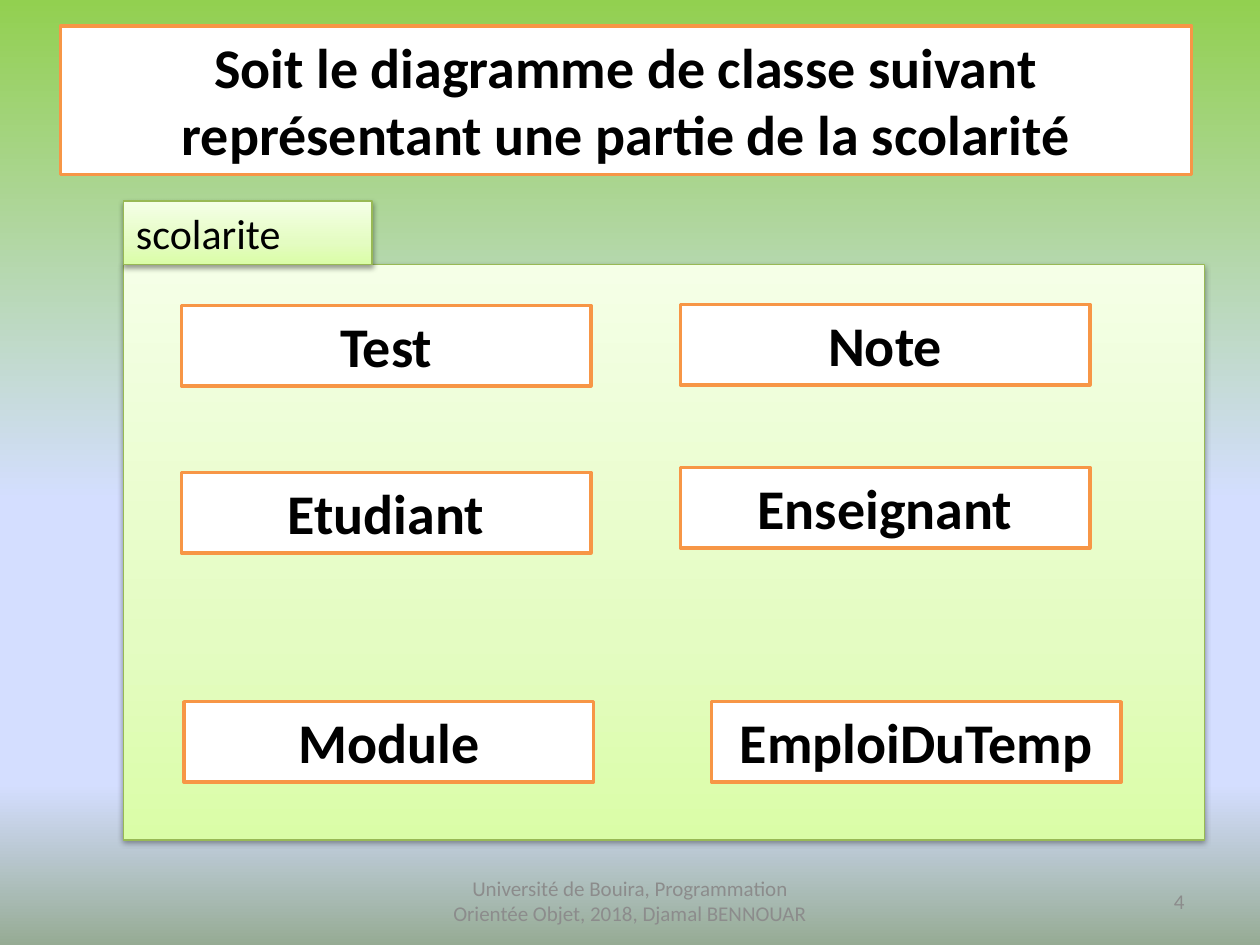
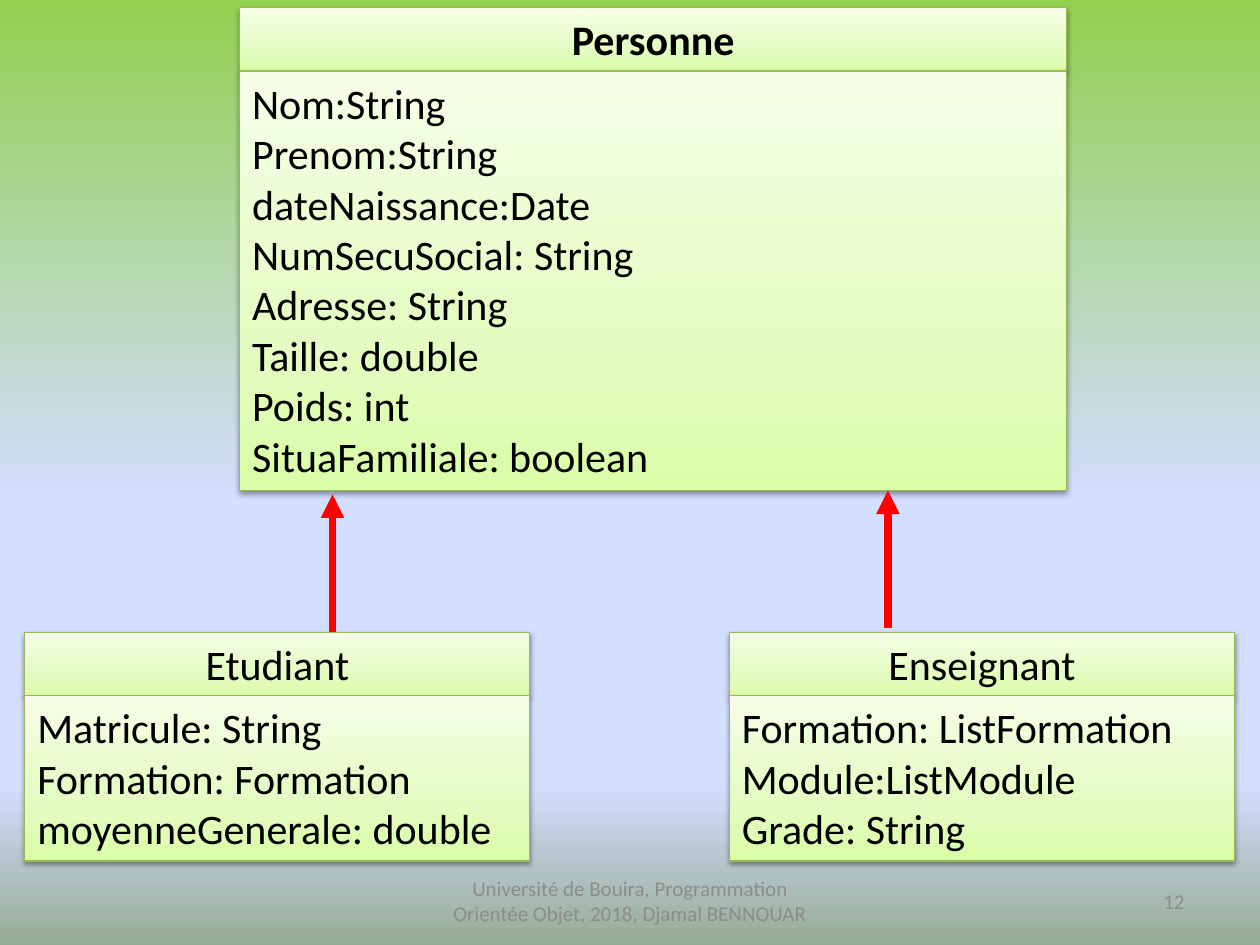
"""Build two class diagram slides about a school package."""
from pptx import Presentation
from pptx.dml.color import RGBColor as RGB
from pptx.enum.shapes import MSO_CONNECTOR as LINK, MSO_SHAPE as SHAPE
from pptx.enum.text import MSO_ANCHOR as ANCHOR, MSO_AUTO_SIZE as AUTO, PP_ALIGN as ALIGN
from pptx.oxml import parse_xml
from pptx.oxml.ns import nsdecls
from pptx.util import Pt

BLACK, WHITE = RGB(0, 0, 0), RGB(255, 255, 255)
GREY, RED = RGB(0x8C, 0x8C, 0x8C), RGB(255, 0, 0)
ORANGE, GREEN = RGB(0xF7, 0x96, 0x46), RGB(0x98, 0xB9, 0x55)
SKY = [(0, RGB(0x92, 0xD0, 0x50)), (53, RGB(0xD4, 0xDE, 0xFF)),
       (83, RGB(0xD4, 0xDE, 0xFF)), (100, RGB(0x96, 0xAB, 0x94))]
LIME = [(0, RGB(0xDA, 0xFD, 0xA7)), (35, RGB(0xE4, 0xFC, 0xC2)),
        (100, RGB(0xF5, 0xFF, 0xE7))]

LEFT, MID, RIGHT = ALIGN.LEFT, ALIGN.CENTER, ALIGN.RIGHT
PLAIN = {"size": Pt(24), "bold": False}
BOLD = {"size": Pt(24), "bold": True}
LARGE = {"size": Pt(32), "bold": True}
SMALL = {"size": Pt(12), "bold": False}
ROW, PAD = 29.08, 7.2
HEAD = ROW + PAD

FOOT = "Université de Bouira, Programmation Orientée Objet, 2018, Djamal BENNOUAR"
TITLE = "Soit le diagramme de classe suivant représentant une partie de la scolarité"
PACK = ("scolarite", 70.6, 114.8, 142, 617.8, 329)
CARDS = [("Etudiant", 103.7, 270), ("Enseignant", 388.8, 267.2),
         ("Module", 105.2, 401), ("EmploiDuTemp", 406.6, 401),
         ("Test", 103.7, 174.5), ("Note", 388.8, 174)]
CLASSES = [
    ("Personne", BOLD, 137, 4.3, 472.5,
     ["Nom:String", "Prenom:String", "dateNaissance:Date", "NumSecuSocial: String",
      "Adresse: String", "Taille: double", "Poids: int", "SituaFamiliale: boolean"]),
    ("Etudiant", PLAIN, 14.2, 361.3, 288.6,
     ["Matricule: String", "Formation: Formation", "moyenneGenerale: double"]),
    ("Enseignant", PLAIN, 416.8, 361.3, 288.6,
     ["Formation: ListFormation", "Module:ListModule", "Grade: String"]),
]
ARROWS = [(190, 361.3, 282.5), (507.4, 358.8, 280.3)]


def blend(fill, root, stops, angle):
    fill.gradient()
    old = root.xpath(".//a:gradFill")[0]
    marks = "".join(f'<a:gs pos="{at * 1000}"><a:srgbClr val="{tint}"/></a:gs>'
                    for at, tint in stops)
    new = parse_xml(f'<a:gradFill {nsdecls("a")} rotWithShape="1"><a:gsLst>{marks}</a:gsLst>'
                    f'<a:lin ang="{angle * 60000}" scaled="0"/></a:gradFill>')
    old.getparent().replace(old, new)


def write(shape, lines, font, align, tint=BLACK, **frame):
    text = shape.text_frame
    for key, val in {"word_wrap": True, "vertical_anchor": ANCHOR.TOP, **frame}.items():
        setattr(text, key, val)
    for i, line in enumerate(lines):
        para = text.add_paragraph() if i else text.paragraphs[0]
        para.alignment = align
        run = para.add_run()
        run.text = line
        for key, val in {"name": "Calibri", **font}.items():
            setattr(run.font, key, val)
        run.font.color.rgb = tint


def block(shapes, area, edge, width):
    shape = shapes.add_shape(SHAPE.RECTANGLE, *map(Pt, area))
    shape.shadow.inherit = False
    shape.line.color.rgb = edge
    shape.line.width = Pt(width)
    return shape


def panel(shapes, area, lines=(), font=PLAIN, align=LEFT):
    shape = block(shapes, area, GREEN, 0.75)
    blend(shape.fill, shape.element, LIME, 270)
    shape.element.xpath(".//a:effectLst")[0].append(parse_xml(
        f'<a:outerShdw {nsdecls("a")} blurRad="{Pt(3.1)}" dist="{Pt(1.6)}" dir="5400000" '
        'rotWithShape="0"><a:srgbClr val="000000"><a:alpha val="38000"/></a:srgbClr>'
        '</a:outerShdw>'))
    if lines:
        write(shape, lines, font, align, auto_size=AUTO.SHAPE_TO_FIT_TEXT)


def card(shapes, text, area):
    shape = block(shapes, area, ORANGE, 2)
    shape.fill.solid()
    shape.fill.fore_color.rgb = WHITE
    write(shape, [text], LARGE, MID, auto_size=AUTO.SHAPE_TO_FIT_TEXT)


def arrow(shapes, x, start, end):
    line = shapes.add_connector(LINK.STRAIGHT, Pt(x), Pt(start), Pt(x), Pt(end))
    line.line.color.rgb = RED
    line.line.width = Pt(4.5)
    line.line._get_or_add_ln().append(parse_xml(f'<a:tailEnd {nsdecls("a")} type="triangle"/>'))
    line.element.spPr.append(parse_xml(f'<a:effectLst {nsdecls("a")}/>'))


def page(deck, number):
    slide = deck.slides.add_slide(deck.slide_layouts[6])
    blend(slide.background.fill, slide.element, SKY, 90)
    for text, x, width, align in [(FOOT, 246, 228, MID), (number, 516, 168, RIGHT)]:
        box = slide.shapes.add_textbox(Pt(x), Pt(500.5), Pt(width), Pt(28.75))
        write(box, [text], SMALL, align, GREY, vertical_anchor=ANCHOR.MIDDLE)
    return slide.shapes


deck = Presentation()
deck.slide_width, deck.slide_height = Pt(720), Pt(540)

shapes = page(deck, "4")
name, x, y, tab, width, height = PACK
group = shapes.add_group_shape().shapes
panel(group, (x, y + HEAD, width, height))
panel(group, (x, y, tab, HEAD), [name])
card(shapes, TITLE, (34.5, 14.9, 646.5, 84.8))
for name, x, y in CARDS:
    card(shapes, name, (x, y, 234, 46))

shapes = page(deck, "12")
for name, font, x, y, width, lines in CLASSES:
    group = shapes.add_group_shape().shapes
    panel(group, (x, y, width, HEAD), [name], font, MID)
    panel(group, (x, y + HEAD, width, len(lines) * ROW + PAD), lines)
for ends in ARROWS:
    arrow(shapes, *ends)

deck.save("out.pptx")
